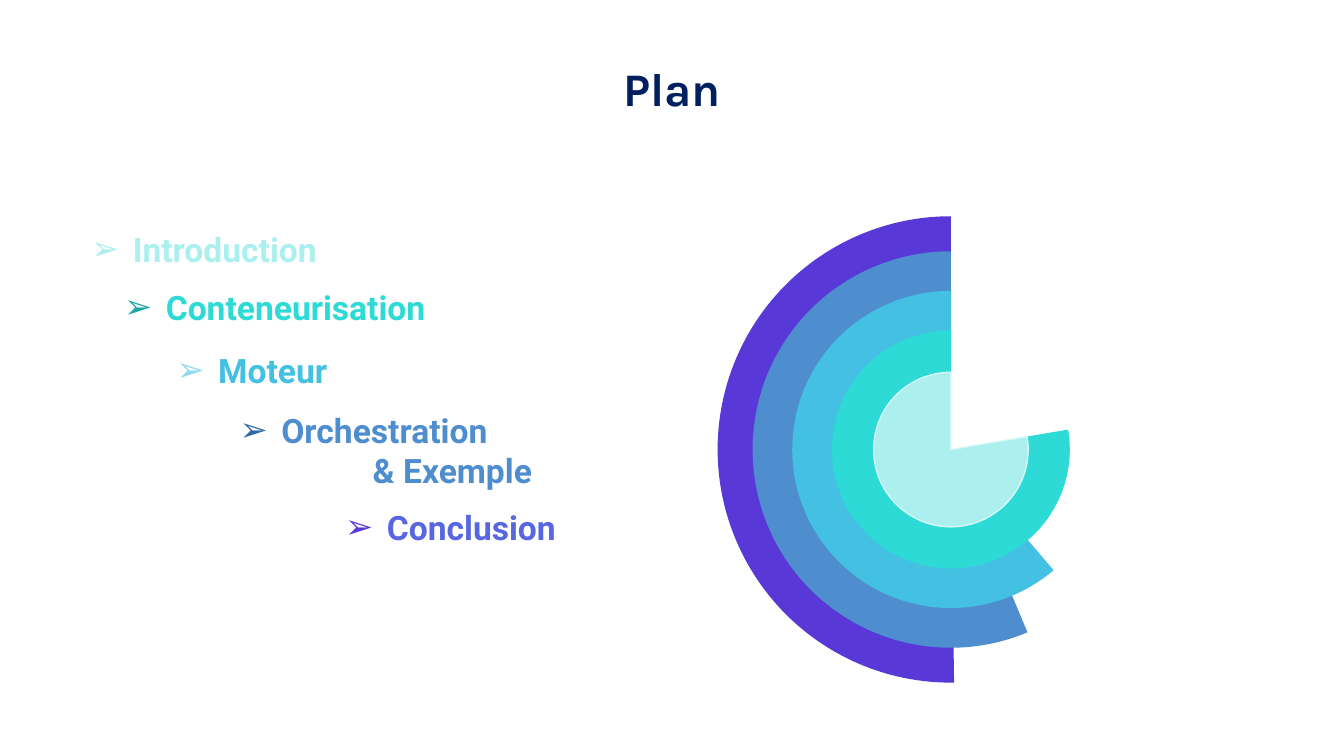
from dataclasses import dataclass

from lxml import etree
from pptx import Presentation
from pptx.dml.color import RGBColor
from pptx.enum.shapes import MSO_SHAPE
from pptx.enum.text import MSO_ANCHOR, MSO_AUTO_SIZE, PP_ALIGN
from pptx.oxml.ns import qn
from pptx.util import Pt

PIE, OVAL = MSO_SHAPE.PIE, MSO_SHAPE.OVAL
TOP, MIDDLE = MSO_ANCHOR.TOP, MSO_ANCHOR.MIDDLE
LEFT, CENTER = PP_ALIGN.LEFT, PP_ALIGN.CENTER
NO_FIT = MSO_AUTO_SIZE.NONE

PX = 4572  # 200 px to the inch
SLIDE_WIDTH, SLIDE_HEIGHT = 2000, 1125
INSET = 20
HANGING = 62
ITEM_HEIGHT = 60
CENTER_X, CENTER_Y = 1415, 669
TOP_ANGLE = 270
ANGLE_UNIT = 0.6  # adjustment value of one degree


@dataclass(frozen=True)
class Theme:
    title_font: str = "Karla"
    body_font: str = "Roboto"
    title_size: int = 25
    body_size: int = 18
    navy: str = "002060"
    white: str = "FFFFFF"
    outline: str = "D5F8F7"
    mint: str = "ABF0EE"
    turquoise: str = "2DDAD5"
    sky: str = "43C0E2"
    blue: str = "4E8DCE"
    violet: str = "5838D7"
    indigo: str = "5767E0"
    dark_turquoise: str = "1EA8A4"
    light_sky: str = "8ED9EE"
    dark_blue: str = "2E6AA7"


THEME = Theme()


@dataclass(frozen=True)
class Item:
    text: str
    left: int
    top: int
    color: str
    bullet: str
    width: int = 584
    second_line: str = ""
    second_indent: int = 0


@dataclass(frozen=True)
class Ring:
    diameter: int
    start: float
    color: str


ITEMS = [
    Item("Introduction", 116, 341, THEME.mint, THEME.mint),
    Item("Conteneurisation", 165, 427, THEME.turquoise, THEME.dark_turquoise),
    Item("Moteur", 243, 521, THEME.sky, THEME.light_sky),
    Item("Orchestration", 337, 640, THEME.blue, THEME.dark_blue,
         width=680, second_line="& Exemple", second_indent=198),
    Item("Conclusion", 494, 754, THEME.indigo, THEME.violet),
]

RINGS = [
    Ring(694, 89.2, THEME.violet),
    Ring(590, 67.26, THEME.blue),
    Ring(472, 49.61, THEME.sky),
    Ring(354, 350.38, THEME.turquoise),
]
CORE = Ring(230, 350.38, THEME.mint)


def rgb(color: str) -> RGBColor:
    return RGBColor.from_string(color)


def set_frame(tf, anchor) -> None:
    tf.word_wrap = True
    tf.auto_size = NO_FIT
    tf.vertical_anchor = anchor
    tf.margin_left = tf.margin_right = INSET * PX
    tf.margin_top = tf.margin_bottom = INSET * PX


def write(p, text: str, font: str, size: int, color: str, align=LEFT) -> None:
    p.text = text
    p.alignment = align
    for r in p.runs:
        r.font.name = font
        r.font.size = Pt(size)
        r.font.bold = True
        r.font.color.rgb = rgb(color)


def add_bullet(p, color: str) -> None:
    pPr = p._p.get_or_add_pPr()
    pPr.set("marL", str(HANGING * PX))
    pPr.set("indent", str(-HANGING * PX))
    bu_clr = etree.SubElement(pPr, qn("a:buClr"))
    etree.SubElement(bu_clr, qn("a:srgbClr"), val=color)
    etree.SubElement(pPr, qn("a:buFont"), typeface=THEME.body_font)
    etree.SubElement(pPr, qn("a:buChar"), char="➢")


def add_title(slide, text: str) -> None:
    title = slide.shapes.title
    title.left, title.top = 68 * PX, 69 * PX
    title.width, title.height = 1864 * PX, 126 * PX
    set_frame(title.text_frame, TOP)
    write(title.text_frame.paragraphs[0], text, THEME.title_font,
          THEME.title_size, THEME.navy, CENTER)


def add_item(slide, item: Item) -> None:
    box = slide.shapes.add_textbox(item.left * PX, item.top * PX,
                                   item.width * PX, ITEM_HEIGHT * PX)
    tf = box.text_frame
    set_frame(tf, MIDDLE)
    p = tf.paragraphs[0]
    write(p, item.text, THEME.body_font, THEME.body_size, item.color)
    add_bullet(p, item.bullet)
    if item.second_line:
        p = tf.add_paragraph()
        write(p, item.second_line, THEME.body_font, THEME.body_size, item.color)
        p._p.get_or_add_pPr().set("marL", str(item.second_indent * PX))


def add_centered(shapes, kind, diameter: int, color: str):
    """Add a borderless round shape on the common centre of the rings."""
    radius = diameter // 2
    sp = shapes.add_shape(kind, (CENTER_X - radius) * PX, (CENTER_Y - radius) * PX,
                          diameter * PX, diameter * PX)
    sp.shadow.inherit = False
    sp.fill.solid()
    sp.fill.fore_color.rgb = rgb(color)
    sp.line.fill.background()
    return sp


def add_ring(shapes, ring: Ring):
    sp = add_centered(shapes, PIE, ring.diameter, ring.color)
    sp.adjustments[0] = ring.start * ANGLE_UNIT
    sp.adjustments[1] = TOP_ANGLE * ANGLE_UNIT
    return sp


def main() -> None:
    prs = Presentation()
    prs.slide_width, prs.slide_height = SLIDE_WIDTH * PX, SLIDE_HEIGHT * PX
    slide = prs.slides.add_slide(prs.slide_layouts[5])
    add_title(slide, "Plan")

    group = slide.shapes.add_group_shape()
    for ring in RINGS:
        add_ring(group.shapes, ring)
    add_centered(group.shapes, OVAL, CORE.diameter, THEME.white)
    core = add_ring(slide.shapes, CORE)
    core.line.color.rgb = rgb(THEME.outline)
    core.line.width = Pt(0.75)

    for item in ITEMS:
        add_item(slide, item)
    prs.save("out.pptx")


if __name__ == "__main__":
    main()
